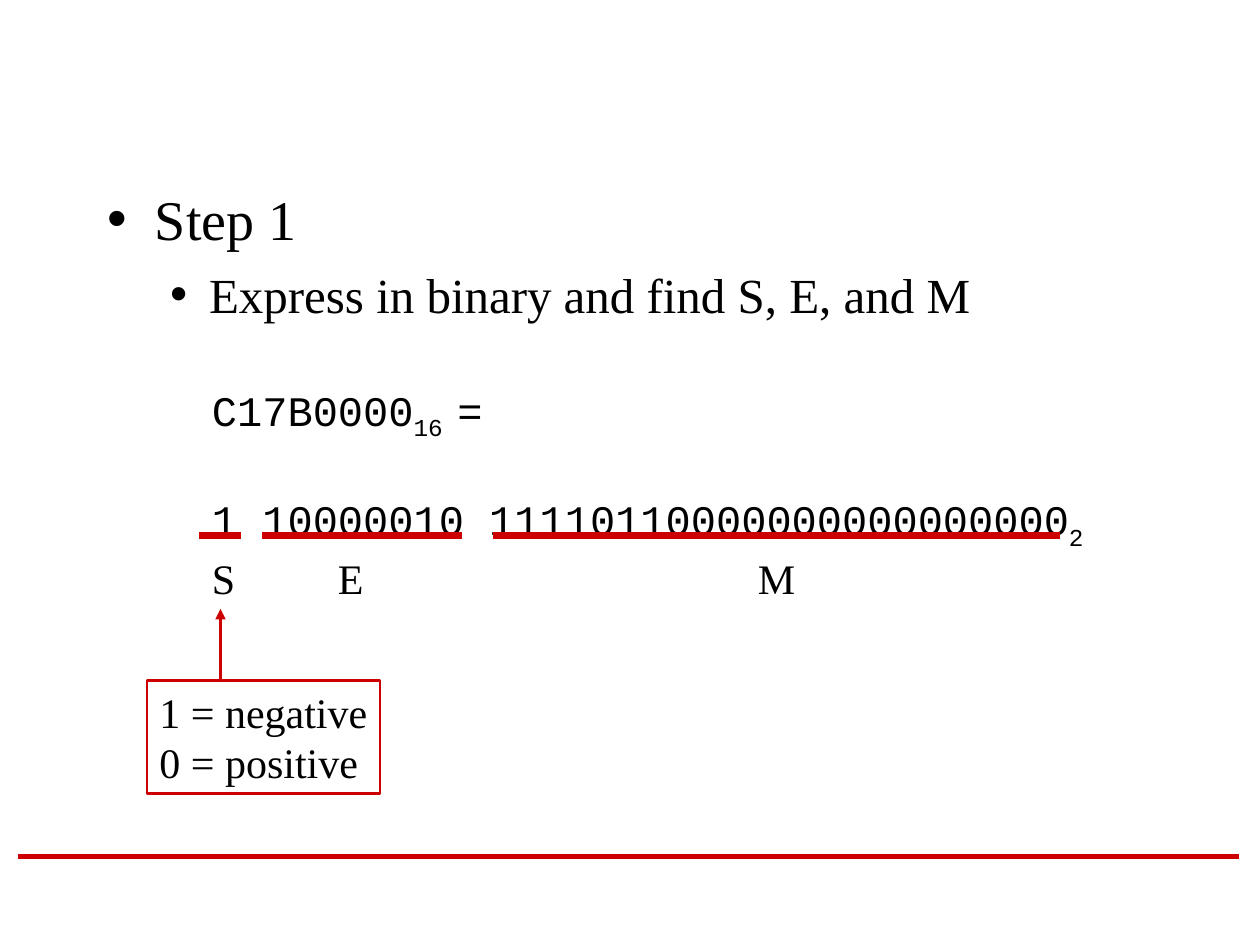
from dataclasses import dataclass

from lxml import etree
from pptx import Presentation
from pptx.dml.color import RGBColor
from pptx.enum import shapes, text
from pptx.oxml.ns import qn
from pptx.util import Emu, Inches, Pt

RED = RGBColor(0xCC, 0x00, 0x00)
BLACK = RGBColor(0x00, 0x00, 0x00)
SERIF, MONO = "Times New Roman", "Courier New"
CELL = Inches(1) // 12  # the slide is 120 columns by 90 rows


@dataclass
class Field:
    """A bit field: its underline and its label, in columns."""
    label: str
    start: float
    end: float
    label_col: float
    label_width: float


@dataclass
class Bullet:
    text: str
    level: int
    size: float
    before: float
    margin: float
    hanging: float


FIELDS = [
    Field("S", 19, 23, 19, 4.6),
    Field("E", 25, 44, 31, 4.8),
    Field("M", 47, 101, 71, 5.9),
]
BULLETS = [
    Bullet("Step 1", 0, 32, 8, 0.38, 0.38),
    Bullet("Express in binary and find S, E, and M", 1, 28, 7, 0.81, 0.31),
]
NUMBERS = [("C17B0000", "16 ", "="),
           ("1 10000010 11110110000000000000000", "2", "")]


def grid(*cells: float) -> list[Emu]:
    return [Emu(round(c * CELL)) for c in cells]


def add_run(p, words: str, name: str = SERIF, size: float = 24):
    r = p.add_run()
    r.text = words
    for key, value in {"name": name, "size": Pt(size)}.items():
        setattr(r.font, key, value)
    r.font.color.rgb = BLACK
    return r


def add_line(s, x1: float, y1: float, x2: float, y2: float, width: float,
             arrow: bool = False) -> None:
    sp = s.shapes.add_connector(shapes.MSO_CONNECTOR.STRAIGHT,
                                *grid(x1, y1, x2, y2))
    sp.line.color.rgb = RED
    sp.line.width = Pt(width)
    if arrow:
        etree.SubElement(sp.line._get_or_add_ln(), qn("a:tailEnd"), type="triangle")
    etree.SubElement(sp._element.spPr, qn("a:effectLst"))


def format_frame(tf, wrap: bool) -> None:
    formats = {"word_wrap": wrap, "vertical_anchor": text.MSO_ANCHOR.TOP,
               "auto_size": text.MSO_AUTO_SIZE.NONE,
               "margin_left": Inches(0.1), "margin_right": Inches(0.1),
               "margin_top": Inches(0.05), "margin_bottom": Inches(0.05)}
    for key, value in formats.items():
        setattr(tf, key, value)


def add_text(s, x: float, y: float, w: float, h: float, wrap: bool = False):
    tf = s.shapes.add_textbox(*grid(x, y, w, h)).text_frame
    format_frame(tf, wrap)
    return tf


def next_paragraph(tf, index: int):
    return tf.add_paragraph() if index else tf.paragraphs[0]


def fill_body(sp) -> None:
    sp.left, sp.top, sp.width, sp.height = grid(9, 17, 102, 54)
    format_frame(sp.text_frame, True)
    for i, b in enumerate(BULLETS):
        p = next_paragraph(sp.text_frame, i)
        p.level, p.space_before = b.level, Pt(b.before)
        add_run(p, b.text, size=b.size)
        pPr = p._p.get_or_add_pPr()
        pPr.set("marL", str(Inches(b.margin)))
        pPr.set("indent", str(-Inches(b.hanging)))
        etree.SubElement(pPr, qn("a:buChar"), char="•")


def add_numbers(s) -> None:
    tf = add_text(s, 19, 36, 88, 17, wrap=True)
    for i, (digits, base, rest) in enumerate(NUMBERS):
        p = next_paragraph(tf, i)
        p.space_before = Pt(30 * i)
        add_run(p, digits, MONO)
        add_run(p, base, MONO).font._element.set("baseline", "-25000")
        if rest:
            add_run(p, rest, MONO)


def add_sign_box(s) -> None:
    sp = s.shapes.add_shape(shapes.MSO_SHAPE.RECTANGLE, *grid(14, 64.8, 22.2, 10.8))
    sp.shadow.inherit = False
    sp.fill.background()
    sp.line.color.rgb = RED
    sp.line.width = Pt(1.5)
    format_frame(sp.text_frame, False)
    for i, words in enumerate(("1 = negative", "0 = positive")):
        p = next_paragraph(sp.text_frame, i)
        p.alignment = text.PP_ALIGN.LEFT
        add_run(p, words)


def main() -> None:
    prs = Presentation()
    prs.slide_width, prs.slide_height = grid(120, 90)
    s = prs.slides.add_slide(prs.slide_layouts[1])
    title = s.shapes.title._element
    title.getparent().remove(title)

    # Footer rule, bullets and the number in both bases
    add_line(s, 1.7, 81.6, 118, 81.6, 3)
    fill_body(s.placeholders[1])
    add_numbers(s)

    # Underlined and labelled bit fields
    for f in FIELDS:
        add_line(s, f.start, 51, f.end, 51, 4.5)
    for f in FIELDS:
        tf = add_text(s, f.label_col, 52, f.label_width, 6)
        add_run(tf.paragraphs[0], f.label)

    # Meaning of the sign bit
    add_sign_box(s)
    add_line(s, 21, 65, 21, 58, 1.5, arrow=True)

    prs.save("out.pptx")


if __name__ == "__main__":
    main()
